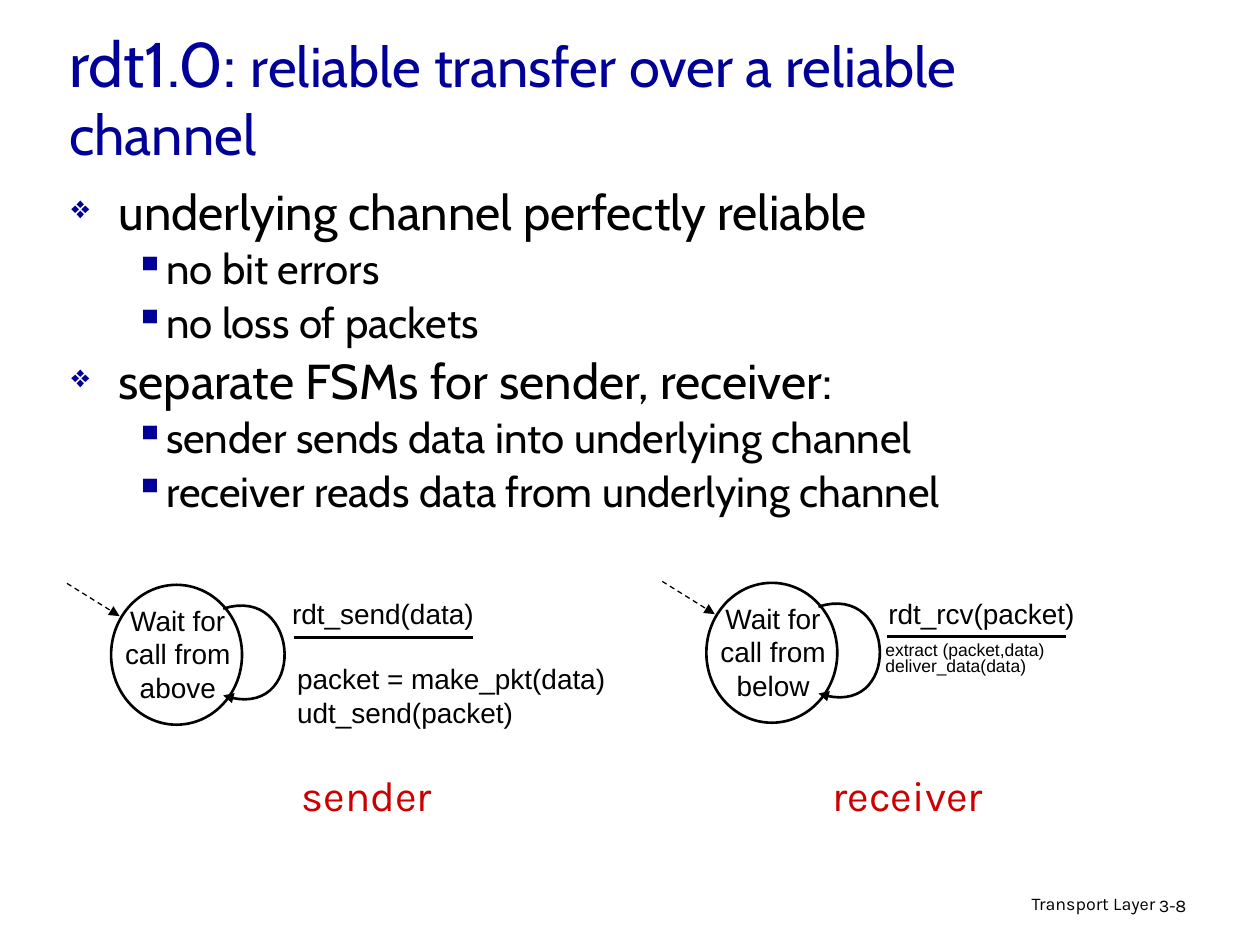
from lxml import etree
from pptx import Presentation
from pptx.dml.color import RGBColor
from pptx.enum.dml import MSO_LINE
from pptx.enum.shapes import MSO_CONNECTOR, MSO_SHAPE
from pptx.enum.text import MSO_ANCHOR, MSO_AUTO_SIZE, PP_ALIGN
from pptx.oxml.ns import qn
from pptx.util import Cm, Pt

BLACK, WHITE, NAVY, RED = "000000", "FFFFFF", "000099", "CC0000"

deck = Presentation()
deck.slide_width, deck.slide_height = Cm(25.4), Cm(19.05)
page = deck.slides.add_slide(deck.slide_layouts[5])


def add_text(place, lines, size, font="Arial", colour=BLACK,
             align=PP_ALIGN.LEFT, spacing=1, wrap=True):
    box = page.shapes.add_textbox(*[Cm(length) for length in place])
    frame = box.text_frame
    frame.word_wrap = wrap
    frame.text = "\n".join(lines)
    for para in frame.paragraphs:
        para.alignment = align
        para.line_spacing = spacing
        para.font.name = font
        para.font.size = Pt(size)
        para.font.color.rgb = RGBColor.from_string(colour)
    return frame


def style_line(shape, width, arrow=False):
    shape.line.color.rgb = RGBColor.from_string(BLACK)
    shape.line.width = Pt(width)
    properties = shape.element.spPr
    if arrow:
        etree.SubElement(properties.find(qn("a:ln")), qn("a:tailEnd"), type="triangle")
    if properties.find(qn("a:effectLst")) is None:
        etree.SubElement(properties, qn("a:effectLst"))


# Footer
add_text((15.49, 17.91, 8.05, 0.79), ["Transport Layer"], 10.2, "Karla",
         align=PP_ALIGN.RIGHT, spacing=0.9)
add_text((23.11, 17.96, 1.88, 0.76), ["3-8"], 10.2, "Karla", spacing=0.9)

# Title
title = page.shapes.title
title.left, title.top, title.width, title.height = Cm(1.14), Cm(0.53), Cm(22.23), Cm(2.79)
title.text_frame.auto_size = MSO_AUTO_SIZE.NONE
title.text_frame.vertical_anchor = MSO_ANCHOR.MIDDLE
para = title.text_frame.paragraphs[0]
para.alignment = PP_ALIGN.LEFT
para.font.name = "Cabin"
para.font.color.rgb = RGBColor.from_string(NAVY)
for text, size in [("rdt1.0: ", 36), ("reliable transfer over a reliable channel", 32)]:
    span = para.add_run()
    span.text = text
    span.font.size = Pt(size)

# Bulleted points: level and text
points = [
    (0, "underlying channel perfectly reliable"),
    (1, "no bit errors"),
    (1, "no loss of packets"),
    (0, "separate FSMs for sender, receiver:"),
    (1, "sender sends data into underlying channel"),
    (1, "receiver reads data from underlying channel"),
]
# Per level: bullet, bullet size, left margin, hang, text size, space before
levels = [("❖", "65000", 0.95, 0.95, 28, 7), ("▪", "100000", 1.91, 0.64, 24, 6)]
body = add_text((1.19, 3.71, 21.95, 8.38), [text for _, text in points], 28, "Cabin",
                spacing=0.85)
for index, (para, (level, _)) in enumerate(zip(body.paragraphs, points)):
    bullet, scale, margin, hang, size, before = levels[level]
    para.level = level
    para.space_before = Pt(before if index else 0)
    properties = para._p.get_or_add_pPr()
    properties.set("marL", str(Cm(margin)))
    properties.set("indent", str(-Cm(hang)))
    bullet_colour = etree.SubElement(properties, qn("a:buClr"))
    etree.SubElement(bullet_colour, qn("a:srgbClr"), val=NAVY)
    etree.SubElement(properties, qn("a:buSzPct"), val=scale)
    etree.SubElement(properties, qn("a:buChar"), char=bullet)
    para.font.size = Pt(size)

# State machines: offset from the sender, state name, rule start and height
machines = [
    (0, 0, "Wait for call from above", 5.92, 12.85),
    (12, -0.04, "Wait for call from below", 17.88, 12.83),
]
loop_points = [(4.5, 12.27), (6.1, 11.76), (6.2, 14.6), (4.5, 14.02)]
steps = 32
for dx, dy, state, rule_left, rule_top in machines:
    # State circle and its name
    circle = page.shapes.add_shape(MSO_SHAPE.OVAL, Cm(2.24 + dx), Cm(11.79 + dy),
                                   Cm(2.64), Cm(2.82))
    circle.shadow.inherit = False
    circle.fill.solid()
    circle.fill.fore_color.rgb = RGBColor.from_string(WHITE)
    style_line(circle, 1.5)
    add_text((2.06 + dx, 12.04 + dy, 3.05, 2.54), [state], 16, align=PP_ALIGN.CENTER)

    # Transition back to the same state, sampled from a cubic curve
    curve = []
    for step in range(steps + 1):
        t = step / steps
        weights = ((1 - t) ** 3, 3 * t * (1 - t) ** 2, 3 * t ** 2 * (1 - t), t ** 3)
        x = sum(weight * point[0] for weight, point in zip(weights, loop_points))
        y = sum(weight * point[1] for weight, point in zip(weights, loop_points))
        curve.append((Cm(x + dx), Cm(y + dy)))
    builder = page.shapes.build_freeform(*curve[0])
    builder.add_line_segments(curve[1:], close=False)
    loop = builder.convert_to_shape()
    loop.shadow.inherit = False
    loop.fill.background()
    style_line(loop, 1.5, arrow=True)

    # Rule between event and actions
    rule = page.shapes.add_connector(MSO_CONNECTOR.STRAIGHT, Cm(rule_left), Cm(rule_top),
                                     Cm(rule_left + 3.61), Cm(rule_top))
    style_line(rule, 1.5)

    # Arrow into the initial state
    start = page.shapes.add_connector(MSO_CONNECTOR.STRAIGHT, Cm(1.35 + dx), Cm(11.76 + dy),
                                      Cm(2.41 + dx), Cm(12.42 + dy))
    start.line.dash_style = MSO_LINE.DASH
    style_line(start, 0.75, arrow=True)

# Events and actions
add_text((5.64, 11.91, 6.27, 1.19), ["rdt_send(data)"], 16)
add_text((5.74, 13.21, 7.44, 1.65), ["packet = make_pkt(data)", "udt_send(packet)"], 16)
add_text((17.65, 11.91, 4.27, 0.94), ["rdt_rcv(packet)"], 16,
         align=PP_ALIGN.CENTER, wrap=False)
add_text((17.6, 12.83, 6.91, 1.19), ["extract (packet,data)", "deliver_data(data)"], 10,
         spacing=0.8)

# Role names
for left, width, role in [(5.77, 3.25, "sender"), (16.46, 3.68, "receiver")]:
    add_text((left, 15.39, width, 1.27), [role], 24, "Karla", RED,
             align=PP_ALIGN.CENTER, wrap=False)

deck.save("out.pptx")
